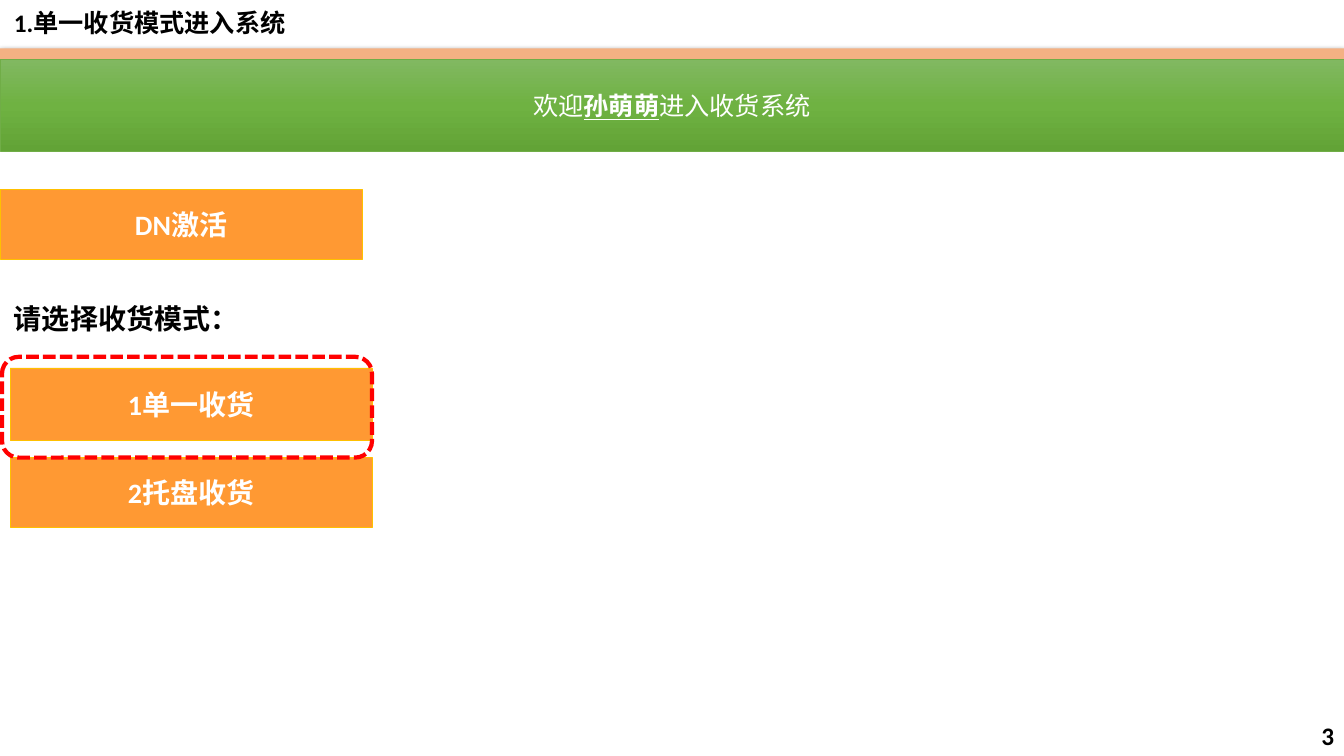
from lxml import etree
from pptx import Presentation
from pptx.dml.color import RGBColor
from pptx.enum import dml, shapes, text
from pptx.oxml import ns
from pptx.util import Inches, Pt

COLORS = {
    "black": "000000", "white": "FFFFFF", "peach": "F4B183",
    "orange": "FF9933", "gold": "FFC000", "red": "FF0000",
    "green": "70AD47",
}
BANNER = {0: "81B861", 50: "6FB242", 100: "62A336"}
WIDTH = 13.33
ALIGN = text.PP_ALIGN


def rgb(name):
    return RGBColor.from_string(COLORS[name])


def add_box(slide, box, fill=None, line=None, weight=0.5, kind="RECTANGLE"):
    shape = slide.shapes.add_shape(
        shapes.MSO_SHAPE[kind], *map(Inches, box))
    shape.shadow.inherit = False
    if fill:
        shape.fill.solid()
        shape.fill.fore_color.rgb = rgb(fill)
    else:
        shape.fill.background()
    if line:
        shape.line.color.rgb = rgb(line)
        shape.line.width = Pt(weight)
    else:
        shape.line.fill.background()
    return shape


def write(shape, runs, size, color, align):
    """Fill a shape with one line; each run is (words, bold, underline)."""
    frame = shape.text_frame
    frame.word_wrap = True
    frame.vertical_anchor = text.MSO_ANCHOR.MIDDLE
    line = frame.paragraphs[0]
    line.alignment = align
    for words, bold, under in runs:
        run = line.add_run()
        run.text = words
        font = run.font
        font.name, font.size = "Calibri", Pt(size)
        font.bold, font.underline = bold, under
        font.color.rgb = rgb(color)
    return line


def add_label(slide, box, words, size, align=ALIGN.LEFT):
    label = slide.shapes.add_textbox(*map(Inches, box))
    return write(label, [(words, True, False)], size, "black", align)


def add_button(slide, box, words):
    button = add_box(slide, box, "orange", "gold")
    write(button, [(words, True, False)], 20, "white", ALIGN.CENTER)


def shade(shape, stops):
    """Give a shape a gradient that runs from top to bottom."""
    shape.fill.gradient()
    shape.fill.gradient_angle = 270
    items = shape.element.spPr.find(".//" + ns.qn("a:gsLst"))
    for old in list(items):
        items.remove(old)
    for place, color in stops.items():
        stop = etree.SubElement(items, ns.qn("a:gs"), pos=str(place * 1000))
        etree.SubElement(stop, ns.qn("a:srgbClr"), val=color)


def add_shadow(shape):
    effects = shape.element.spPr.find(ns.qn("a:effectLst"))
    outer = etree.SubElement(
        effects, ns.qn("a:outerShdw"), blurRad=str(Pt(4.5)),
        dist=str(Pt(1.5)), dir="5400000", algn="ctr", rotWithShape="0")
    color = etree.SubElement(
        outer, ns.qn("a:srgbClr"), val=COLORS["black"])
    etree.SubElement(color, ns.qn("a:alpha"), val="63000")


def main():
    deck = Presentation()
    deck.slide_width, deck.slide_height = Inches(WIDTH), Inches(7.5)
    slide = deck.slides.add_slide(deck.slide_layouts[6])

    add_shadow(add_box(slide, (0, 0.48, WIDTH, 0.11), "peach"))
    banner = add_box(slide, (0, 0.59, WIDTH, 0.91), line="green")
    shade(banner, BANNER)
    welcome = [("欢迎", False, False), ("孙萌萌", True, True),
               ("进入收货系统", False, False)]
    write(banner, welcome, 18, "white", ALIGN.CENTER)

    title = add_label(slide, (0.04, 0.04, 11.5, 0.4),
                      "1.单一收货模式进入系统", 18)
    title.line_spacing = 0.9
    add_label(slide, (0.04, 2.94, 3.87, 0.44), "请选择收货模式：", 20)
    add_label(slide, (10.33, 7.1, 3, 0.4), "3", 18, ALIGN.RIGHT)

    add_button(slide, (0, 1.88, 3.59, 0.69), "DN激活")
    add_button(slide, (0.1, 4.54, 3.59, 0.69), "2托盘收货")
    add_button(slide, (0.1, 3.65, 3.59, 0.72), "1单一收货")
    choice = add_box(slide, (0.02, 3.54, 3.67, 1), line="red", weight=3,
                     kind="ROUNDED_RECTANGLE")
    choice.line.dash_style = dml.MSO_LINE.SQUARE_DOT

    deck.save("out.pptx")


if __name__ == "__main__":
    main()
